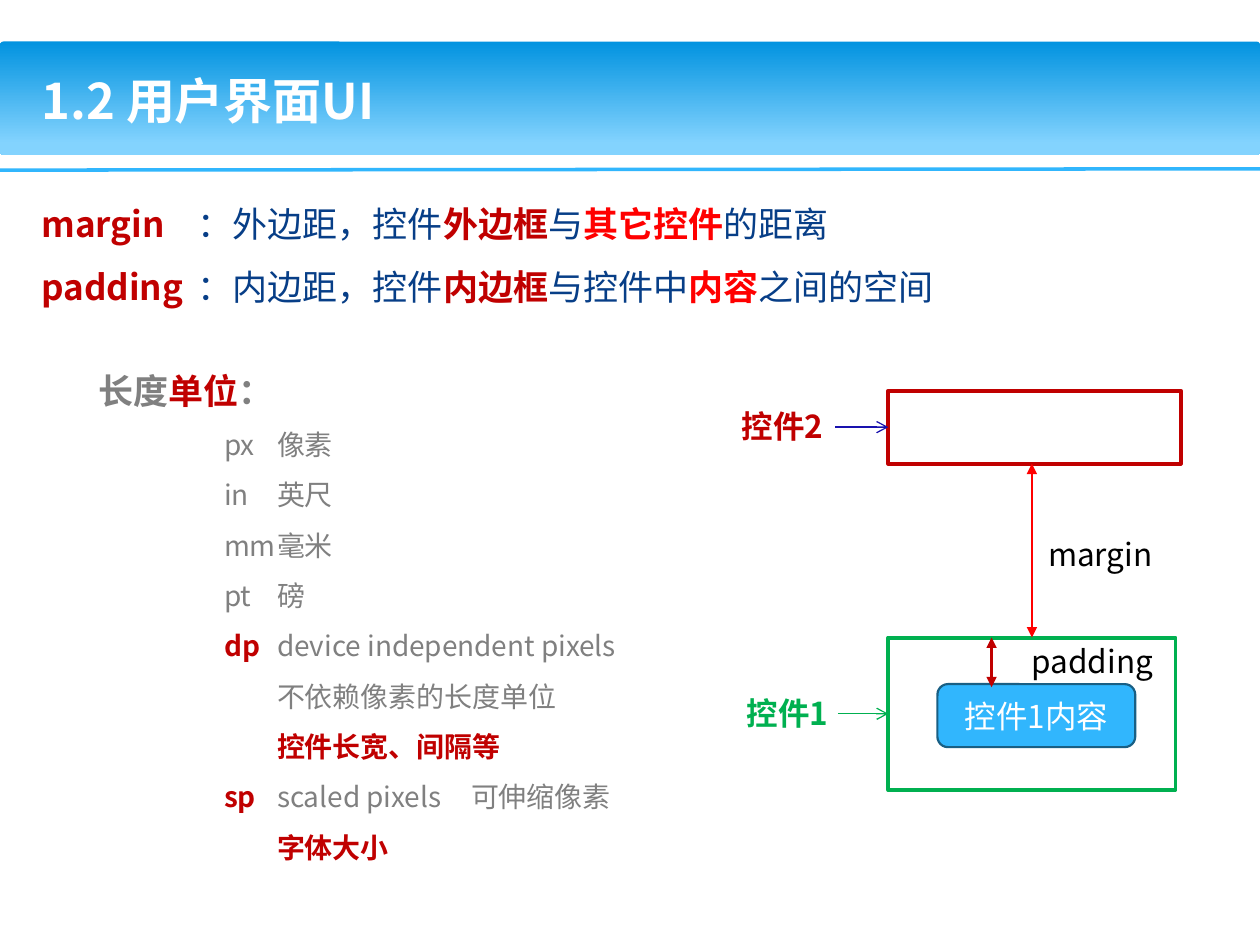
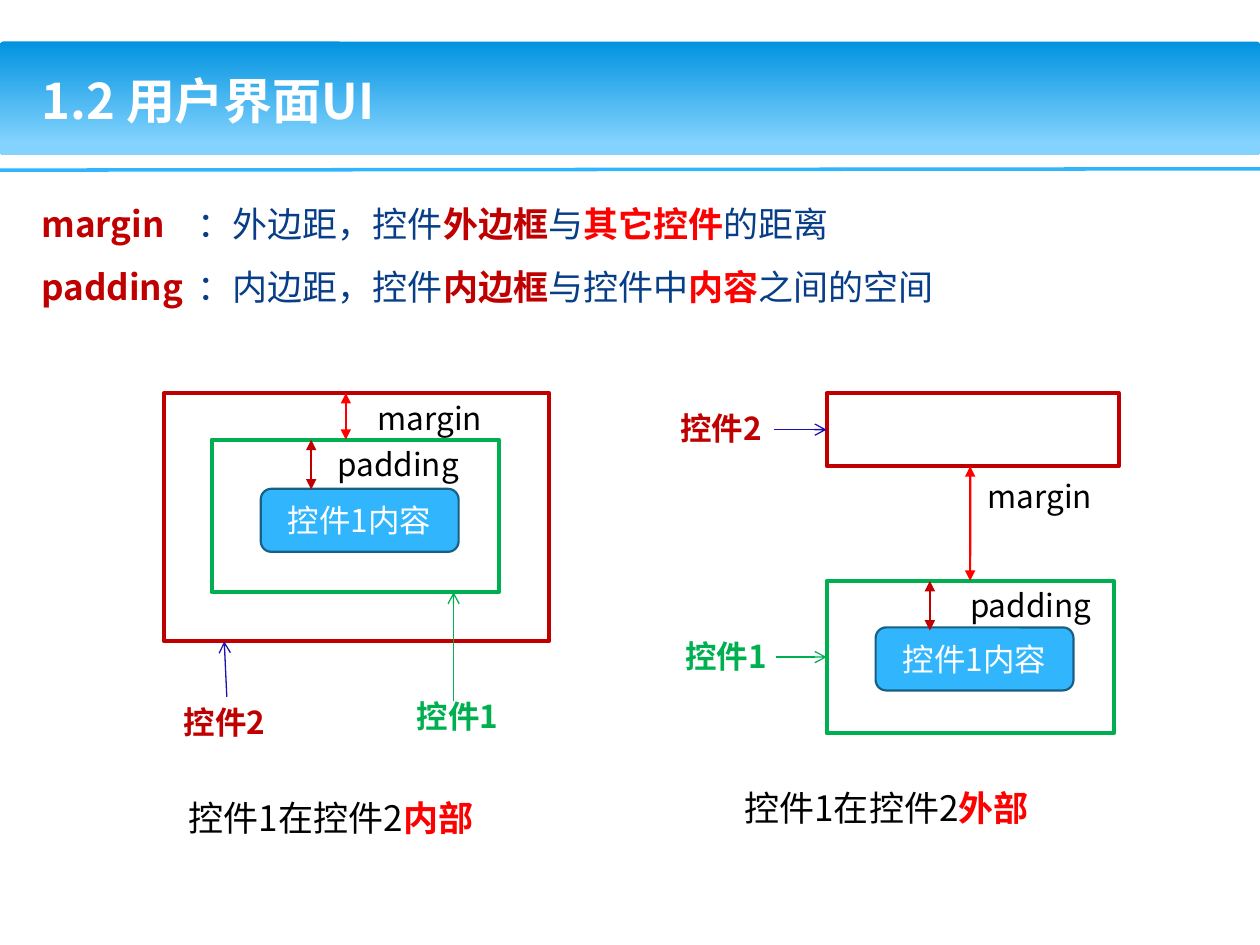
from lxml.etree import SubElement as Sub
from pptx import Presentation
from pptx.dml.color import RGBColor as RGB
from pptx.enum.shapes import MSO_CONNECTOR as CONN, MSO_SHAPE as SHAPE
from pptx.enum.text import MSO_ANCHOR as ANCHOR, PP_ALIGN as ALIGN
from pptx.oxml.ns import qn
from pptx.util import Inches, Pt


class Theme:
    font = "Noto Sans CJK SC"
    title, lead, label, item = Pt(28), Pt(20), Pt(18), Pt(16)
    white, black, gray = RGB(255, 255, 255), RGB(0, 0, 0), RGB(0x80, 0x80, 0x80)
    navy, indigo = RGB(0x07, 0x3E, 0x87), RGB(0x19, 0x12, 0xAE)
    crimson, red, green = RGB(0xC0, 0, 0), RGB(0xFF, 0, 0), RGB(0, 0xB0, 0x50)
    sky, sky_edge = RGB(0x31, 0xB6, 0xFD), RGB(0x19, 0x5F, 0x84)
    band_top, band_foot = RGB(0x02, 0x93, 0xE0), RGB(0x83, 0xD3, 0xFE)
    rule_w, frame_w, span_w, pointer_w = Pt(2), Pt(2.25), Pt(1.25), Pt(0.75)


T = Theme
prs = Presentation()
prs.slide_width, prs.slide_height = Inches(10), Inches(7.5)
COL, ROW = prs.slide_width / 100, prs.slide_height / 75


def write(tf, paras, size, spacing=None, tabs=(), align=ALIGN.LEFT, anchor=ANCHOR.TOP):
    for k, v in {"word_wrap": True, "vertical_anchor": anchor}.items():
        setattr(tf, k, v)
    for i, runs in enumerate(paras):
        p = tf.add_paragraph() if i else tf.paragraphs[0]
        p.alignment = align
        if spacing:
            p.line_spacing = spacing
        if tabs:
            stops = Sub(p._p.get_or_add_pPr(), qn("a:tabLst"))
            for c in tabs:
                Sub(stops, qn("a:tab"), pos=str(int(c * COL)), algn="l")
        for text, color, bold in runs:
            r = p.add_run()
            r.text = text
            for k, v in {"name": T.font, "size": size, "bold": bold}.items():
                setattr(r.font, k, v)
            r.font.color.rgb = color
            Sub(r._r.get_or_add_rPr(), qn("a:ea"), typeface=T.font)


def line(s, x1, y1, x2, y2, color, width, head=None, tail=None):
    ends = int(x1 * COL), int(y1 * ROW), int(x2 * COL), int(y2 * ROW)
    c = s.shapes.add_connector(CONN.STRAIGHT, *ends)
    c.line.color.rgb, c.line.width = color, width
    ln = c.line._get_or_add_ln()
    for tag, kind in (("a:headEnd", head), ("a:tailEnd", tail)):
        if kind:
            Sub(ln, qn(tag), type=kind)
    Sub(c._element.spPr, qn("a:effectLst"))
    return c


definitions = [
    [("margin\t", T.crimson, True), ("：外边距，控件", T.navy, False),
     ("外边框", T.crimson, True), ("与", T.navy, False),
     ("其它控件", T.red, True), ("的距离", T.navy, False)],
    [("padding\t", T.crimson, True), ("：内边距，控件", T.navy, False),
     ("内边框", T.crimson, True), ("与控件中", T.navy, False),
     ("内容", T.red, True), ("之间的空间", T.navy, False)],
]
title = [[("1.2 用户界面UI", T.white, True)]]

slides = [prs.slides.add_slide(prs.slide_layouts[6]) for _ in range(2)]
for s in slides:
    band = s.shapes.add_shape(SHAPE.ROUNDED_RECTANGLE, 0, int(3.3 * ROW), prs.slide_width, int(9 * ROW))
    band.adjustments[0] = 0.03
    band.shadow.inherit = False
    band.line.fill.background()
    band.fill.gradient()
    band.fill.gradient_angle = 270
    for stop, pos, color in zip(band.fill.gradient_stops, (0, 0.9), (T.band_top, T.band_foot)):
        stop.position, stop.color.rgb = pos, color
    line(s, 0, 13.5, 100, 13.4, T.sky, T.rule_w)
    for y, w, h, paras, fmt in (
        (3.6, 88, 8.7, title, {"size": T.title, "anchor": ANCHOR.MIDDLE}),
        (13.9, 94.9, 11, definitions, {"size": T.lead, "spacing": 1.5, "tabs": [12.4]}),
    ):
        tb = s.shapes.add_textbox(int(2.3 * COL), int(y * ROW), int(w * COL), int(h * ROW))
        write(tb.text_frame, paras, **fmt)

unit_heading = [[("长度", T.gray, True), ("单位", T.crimson, True), ("：", T.gray, True)]]
units = [
    [("\tpx\t像素", T.gray, False)],
    [("\tin\t英尺", T.gray, False)],
    [("\tmm\t毫米", T.gray, False)],
    [("\tpt\t磅", T.gray, False)],
    [("\tdp\t", T.crimson, True), ("device independent pixels", T.gray, False)],
    [("\t\t不依赖像素的长度单位", T.gray, False)],
    [("\t\t控件长宽、间隔等", T.crimson, True)],
    [("\tsp\t", T.crimson, True), ("scaled pixels\t可伸缩像素", T.gray, False)],
    [("\t\t字体大小", T.crimson, True)],
]
for y, h, paras, fmt in (
    (28.8, 4.3, unit_heading, {"size": T.lead}),
    (32.1, 37.6, units, {"size": T.item, "spacing": 1.5, "tabs": [10, 14.2, 29.6]}),
):
    tb = slides[0].shapes.add_textbox(int(6.8 * COL), int(y * ROW), int(55.2 * COL), int(h * ROW))
    write(tb.text_frame, paras, **fmt)

diagrams = [
    {"s": slides[0], "outer": (70.5, 31, 23.2, 5.8), "inner": (70.5, 50.6),
     "margin_at": (82.2, 42), "span": (81.9, 36.8, 50.6), "nested": False},
    {"s": slides[1], "outer": (65.6, 31.2, 23.2, 5.8), "inner": (65.6, 46.1),
     "margin_at": (77.4, 37.4), "span": (77, 37, 46.1), "nested": False,
     "caption": (58.1, 61.9, "外部")},
    {"s": slides[1], "outer": (13, 31.2, 30.6, 19.7), "inner": (16.8, 34.9),
     "margin_at": (29, 31.2), "span": (27.45, 31.2, 34.9), "nested": True,
     "caption": (14, 62.7, "内部")},
]
for d in diagrams:
    s, nested = d["s"], d["nested"]
    ox, oy, ow, oh = d["outer"]
    ix, iy = d["inner"]
    iw, ih = 22.8, 12.1
    frames = []
    for x, y, w, h, color in ((ox, oy, ow, oh, T.crimson), (ix, iy, iw, ih, T.green)):
        sp = s.shapes.add_shape(SHAPE.RECTANGLE, int(x * COL), int(y * ROW), int(w * COL), int(h * ROW))
        sp.shadow.inherit = False
        sp.fill.background()
        sp.line.color.rgb, sp.line.width = color, T.frame_w
        frames.append(sp)

    bx, by = ix + 3.9, iy + (3.9 if nested else 3.7)
    sp = s.shapes.add_shape(SHAPE.ROUNDED_RECTANGLE, int(bx * COL), int(by * ROW), int(15.7 * COL), int(5 * ROW))
    sp.shadow.inherit = False
    sp.fill.solid()
    sp.fill.fore_color.rgb = T.sky
    sp.line.color.rgb, sp.line.width = T.sky_edge, T.span_w
    write(sp.text_frame, [[("控件1内容", T.white, False)]], T.label, align=ALIGN.CENTER, anchor=ANCHOR.MIDDLE)

    mx, top, foot = d["span"]
    gap = line(s, mx, top, mx, foot, T.red, T.span_w, "triangle", "triangle")
    if not nested:
        gap.end_connect(frames[1], 0)
    px = ix + (7.9 if nested else 8.2)
    line(s, px, iy, px, iy + 3.95, T.crimson, T.span_w, "triangle", "triangle")

    if nested:
        label2, label1 = (13.6, 55.3), (32.1, 54.8)
        line(s, 18, 55.3, 17.8, oy + oh, T.indigo, T.pointer_w, tail="arrow")
        line(s, 36, 55.6, 36, iy + ih, T.green, T.pointer_w, tail="arrow")
    else:
        label2, label1 = (ox - 12.6, oy + 0.8), (ix - 12.2, iy + 4)
        for frame, x, y, reach, color in (
            (frames[0], ox, oy + oh / 2, 4.2, T.indigo),
            (frames[1], ix, iy + ih / 2, 4, T.green),
        ):
            line(s, x - reach, y, x, y, color, T.pointer_w, tail="arrow").end_connect(frame, 1)

    padding_at = (ix + (9 if nested else 10.4), iy - 0.1)
    texts = [
        (d["margin_at"], 10.6, [("margin", T.black, False)], T.label),
        (padding_at, 12.1, [("padding", T.black, False)], T.label),
        (label1, 8.6, [("控件1", T.green, True)], T.label),
        (label2, 8.6, [("控件2", T.crimson, True)], T.label),
    ]
    if "caption" in d:
        x, y, place = d["caption"]
        texts.append(((x, y), 26, [("控件1在控件2", T.black, False), (place, T.red, True)], T.lead))
    for (x, y), w, runs, size in texts:
        tb = s.shapes.add_textbox(int(x * COL), int(y * ROW), int(w * COL), int(4 * ROW))
        write(tb.text_frame, [runs], size)

prs.save("out.pptx")
